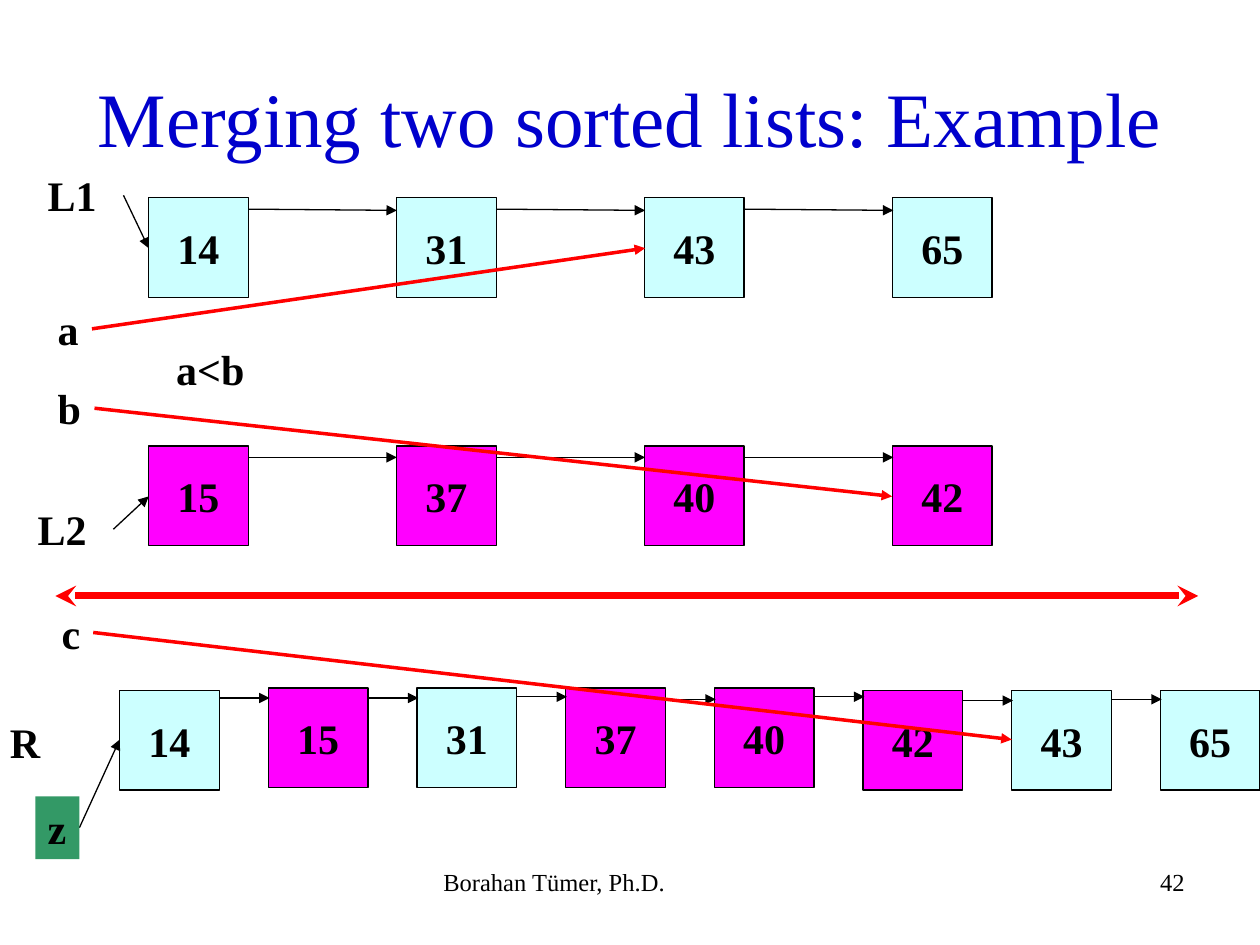
"""Builds a slide showing two sorted linked lists being merged into a third."""
from lxml.etree import SubElement
from pptx import Presentation
from pptx.dml.color import RGBColor
from pptx.enum.shapes import MSO_CONNECTOR as Connector, MSO_SHAPE as Preset
from pptx.enum.text import MSO_ANCHOR as Anchor, MSO_AUTO_SIZE as AutoSize, PP_ALIGN as Align
from pptx.oxml.ns import qn
from pptx.util import Inches, Pt

hex_color = RGBColor.from_string
CYAN, MAGENTA, GREEN = "CCFFFF", "FF00FF", "339966"
BLACK, RED, BLUE = "000000", "FF0000", "0000CC"
SIDE = 0.79


def write_text(shape, text, size=24, color=BLACK, bold=True, align=Align.LEFT,
               anchor=Anchor.TOP, wrap=False):
    frame = shape.text_frame
    frame.word_wrap = wrap
    frame.vertical_anchor = anchor
    para = frame.paragraphs[0]
    para.text = text
    para.alignment = align
    para.font.name = "Times New Roman"
    para.font.size = Pt(size)
    para.font.bold = bold
    para.font.color.rgb = hex_color(color)


def add_arrow(start, end, color=BLACK, width=0.75, ends=("tailEnd",), head="triangle"):
    arrow = slide.shapes.add_connector(
        Connector.STRAIGHT, *(Inches(value) for value in (*start, *end)))
    arrow.line.color.rgb = hex_color(color)
    arrow.line.width = Pt(width)
    properties = arrow.line._get_or_add_ln()
    for tag in ends:
        SubElement(properties, qn(f"a:{tag}"), type=head)
    SubElement(arrow._element.spPr, qn("a:effectLst"))


deck = Presentation()
deck.slide_width, deck.slide_height = Inches(10), Inches(7.5)
slide = deck.slides.add_slide(deck.slide_layouts[5])

title = slide.shapes.title
title.left, title.top, title.width, title.height = (
    Inches(value) for value in (0.5, 0.3, 9, 1.25))
write_text(title, "Merging two sorted lists: Example", 44, BLUE, False,
           Align.CENTER, Anchor.MIDDLE, True)

first_list = [14, 31, 43, 65]
second_list = [15, 37, 40, 42]
merged_list = sorted(first_list + second_list)
merged_tops = [5.48] + [5.46] * 4 + [5.48] * 3
nodes = [(value, 1.18 + 1.968 * index, top)
         for values, top in ((first_list, 1.57), (second_list, 3.54))
         for index, value in enumerate(values)]
nodes += [(value, 0.95 + 1.18 * index, top)
          for index, (value, top) in enumerate(zip(merged_list, merged_tops))]

for value, left, top in nodes:
    node = slide.shapes.add_shape(
        Preset.RECTANGLE, Inches(left), Inches(top), Inches(SIDE), Inches(SIDE))
    node.shadow.inherit = False
    node.fill.solid()
    node.fill.fore_color.rgb = hex_color(CYAN if value in first_list else MAGENTA)
    node.line.color.rgb = hex_color(BLACK)
    node.line.width = Pt(0.75)
    write_text(node, str(value), align=Align.CENTER, anchor=Anchor.MIDDLE)

for start_y, end_y in ((1.66, 1.67), (3.63, 3.63)):
    for index in range(3):
        left = 1.97 + 1.97 * index
        add_arrow((left, start_y), (left + 1.18, end_y))

for index, y in enumerate((5.54, 5.54, 5.53, 5.55, 5.53, 5.56, 5.55)):
    left = 1.74 + 1.18 * index
    add_arrow((left, y), (left + 0.4, y))

for text, left, top, width, wrap in (
    ("L1", 0.28, 1.3, 0.7, True),
    ("L2", 0.2, 3.95, 0.7, True),
    ("R", -0.02, 5.64, 0.57, True),
    ("a", 0.36, 2.36, 0.36, False),
    ("b", 0.36, 2.99, 0.38, False),
    ("c", 0.39, 4.77, 0.35, False),
    ("a<b", 1.3, 2.68, 0.74, False),
):
    label = slide.shapes.add_textbox(Inches(left), Inches(top), Inches(width), Inches(0.5))
    label.text_frame.auto_size = AutoSize.SHAPE_TO_FIT_TEXT
    write_text(label, text, wrap=wrap)

for start, end in (((0.98, 1.55), (1.18, 1.97)),
                   ((0.9, 4.2), (1.18, 3.94)),
                   ((0.63, 6.57), (0.95, 5.87))):
    add_arrow(start, end)

for start, end in (((0.73, 2.61), (5.12, 1.97)),
                   ((0.75, 3.24), (7.08, 3.94)),
                   ((0.74, 5.02), (8.03, 5.87))):
    add_arrow(start, end, RED, 2)

add_arrow((0.44, 4.73), (9.51, 4.73), RED, 4, ("headEnd", "tailEnd"), "stealth")

pointer = slide.shapes.add_shape(
    Preset.RECTANGLE, Inches(0.28), Inches(6.32), Inches(0.35), Inches(0.5))
pointer.shadow.inherit = False
pointer.fill.solid()
pointer.fill.fore_color.rgb = hex_color(GREEN)
pointer.line.fill.background()
pointer.text_frame.auto_size = AutoSize.SHAPE_TO_FIT_TEXT
write_text(pointer, "z")

for text, left, width, align in (("Borahan Tümer, Ph.D.", 3.42, 3.17, Align.LEFT),
                                 ("42", 7.17, 2.33, Align.RIGHT)):
    footer = slide.shapes.add_textbox(Inches(left), Inches(6.83), Inches(width), Inches(0.52))
    write_text(footer, text, 14, bold=False, align=align, wrap=True)

deck.save("out.pptx")
